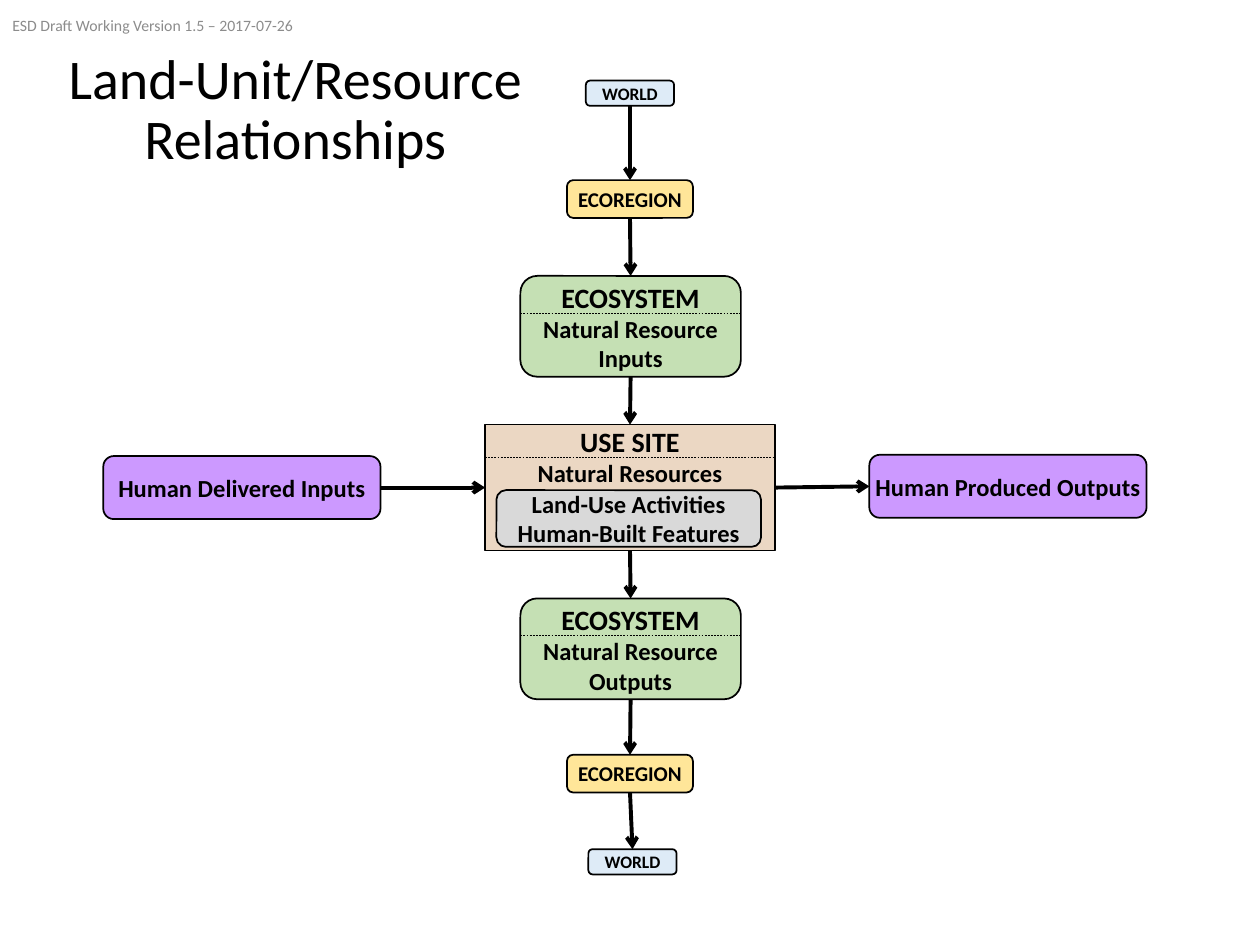
from lxml.etree import SubElement
from pptx import Presentation
from pptx.dml.color import RGBColor
from pptx.enum.dml import MSO_LINE
from pptx.enum.shapes import MSO_CONNECTOR as CONN, MSO_SHAPE as SHAPE
from pptx.enum.text import MSO_ANCHOR as ANCHOR, MSO_AUTO_SIZE as AUTO, PP_ALIGN as ALIGN
from pptx.oxml.ns import qn
from pptx.util import Inches, Pt

BLACK = RGBColor(0x00, 0x00, 0x00)
GRAY = RGBColor(0x8C, 0x8C, 0x8C)
SILVER = RGBColor(0xD9, 0xD9, 0xD9)
TAN = RGBColor(0xEB, 0xD7, 0xC3)
PURPLE = RGBColor(0xCC, 0x99, 0xFF)
GREEN = RGBColor(0xC5, 0xE0, 0xB4)
BLUE = RGBColor(0xDE, 0xEB, 0xF7)
YELLOW = RGBColor(0xFF, 0xE6, 0x99)

# Slide grid: 100 columns by 75 rows
COLS, ROWS = 100, 75
CELL = Inches(10) // COLS
TOP, LEFT, BOTTOM, RIGHT = range(4)


def cells(*values):
    return [round(v * CELL) for v in values]


def write(tf, lines, bold=True, color=BLACK, align=ALIGN.CENTER,
          anchor=ANCHOR.MIDDLE, margins=None):
    """Fill a text frame with (text, size) paragraphs."""
    frame = {"word_wrap": True, "auto_size": AUTO.NONE, "vertical_anchor": anchor}
    if margins:
        sides = ("margin_left", "margin_top", "margin_right", "margin_bottom")
        frame.update(zip(sides, cells(*margins)))
    for name, value in frame.items():
        setattr(tf, name, value)
    for i, (text, size) in enumerate(lines):
        p = tf.add_paragraph() if i else tf.paragraphs[0]
        p.text, p.alignment = text, align
        for r in p.runs:
            for name, value in {"name": "Calibri", "size": Pt(size), "bold": bold}.items():
                setattr(r.font, name, value)
            r.font.color.rgb = color


def add_box(shapes, area, fill, lines, kind=SHAPE.ROUNDED_RECTANGLE,
            margins=(0, 0, 0, 0), **fmt):
    sp = shapes.add_shape(kind, *cells(*area))
    sp.shadow.inherit = False
    sp.fill.solid()
    sp.fill.fore_color.rgb = fill
    sp.line.color.rgb = BLACK
    sp.line.width = Pt(1)
    write(sp.text_frame, lines, margins=margins, **fmt)
    return sp


def add_line(shapes, ends, width):
    line = shapes.add_connector(CONN.STRAIGHT, *ends)
    line.line.color.rgb = BLACK
    line.line.width = Pt(width)
    SubElement(line._element.spPr, qn("a:effectLst"))
    return line


def add_divider(shapes, box, row):
    y = round(row * CELL)
    line = add_line(shapes, (box.left, y, box.left + box.width, y), 0.25)
    line.line.dash_style = MSO_LINE.DASH


def add_arrow(shapes, start, end, sides=(BOTTOM, TOP)):
    line = add_line(shapes, (0, 0, 0, 0), 2.25)
    line.begin_connect(start, sides[0])
    line.end_connect(end, sides[1])
    SubElement(line.line._get_or_add_ln(), qn("a:tailEnd"), type="arrow")


def main():
    prs = Presentation()
    prs.slide_width, prs.slide_height = cells(COLS, ROWS)
    slide = prs.slides.add_slide(prs.slide_layouts[5])
    shapes = slide.shapes

    # Title and version note
    title = shapes.title
    title.left, title.top, title.width, title.height = cells(0, -0.1, 46.9, 17.9)
    write(title.text_frame, [("Land-Unit/Resource\vRelationships", 32)], bold=False)
    title.text_frame.paragraphs[0].line_spacing = 0.9
    note = shapes.add_textbox(*cells(0, 0, 33.8, 4))
    write(note.text_frame, [("ESD Draft Working Version 1.5 – 2017-07-26", 9)],
          bold=False, color=GRAY, align=ALIGN.LEFT)

    # Use site in the centre
    site = add_box(shapes, (38.5, 33.7, 23, 10), TAN,
                   [("USE SITE", 16), ("Natural Resources", 14)],
                   kind=SHAPE.RECTANGLE, anchor=ANCHOR.TOP, margins=(1, 0, 1, 0.5))
    add_divider(shapes, site, 36.3)
    add_box(shapes, (39.4, 38.9, 21, 4.5), SILVER,
            [("Land-Use Activities", 14), ("Human-Built Features", 14)],
            margins=(1, 0.5, 1, 0.5))

    # Vertical chain: natural resources flow down through the site
    def world(left, top):
        return add_box(shapes, (left, top, 7, 2), BLUE, [("WORLD", 10)])

    def ecoregion(top):
        return add_box(shapes, (45, top, 10, 3), YELLOW, [("ECOREGION", 12)])

    def ecosystem(top, divider, *lines):
        box = add_box(shapes, (41.3, top, 17.5, 8), GREEN,
                      [("ECOSYSTEM", 16)] + [(text, 14) for text in lines])
        add_divider(shapes, box, divider)
        return box

    chain = [
        world(46.5, 6.4),
        ecoregion(14.3),
        ecosystem(21.9, 24.9, "Natural Resource Inputs"),
        site,
        ecosystem(47.5, 50.4, "Natural Resource", "Outputs"),
        ecoregion(59.9),
        world(46.7, 67.4),
    ]
    for start, end in zip(chain, chain[1:]):
        add_arrow(shapes, start, end)

    # Horizontal flow: human inputs and outputs
    inputs, outputs = [
        add_box(shapes, (left, top, 22, 5), PURPLE, [(text, 14)])
        for left, top, text in ((8.2, 36.2, "Human Delivered Inputs"),
                                (69, 36.1, "Human Produced Outputs"))
    ]
    for start, end in ((inputs, site), (site, outputs)):
        add_arrow(shapes, start, end, (RIGHT, LEFT))

    prs.save("out.pptx")


if __name__ == "__main__":
    main()
